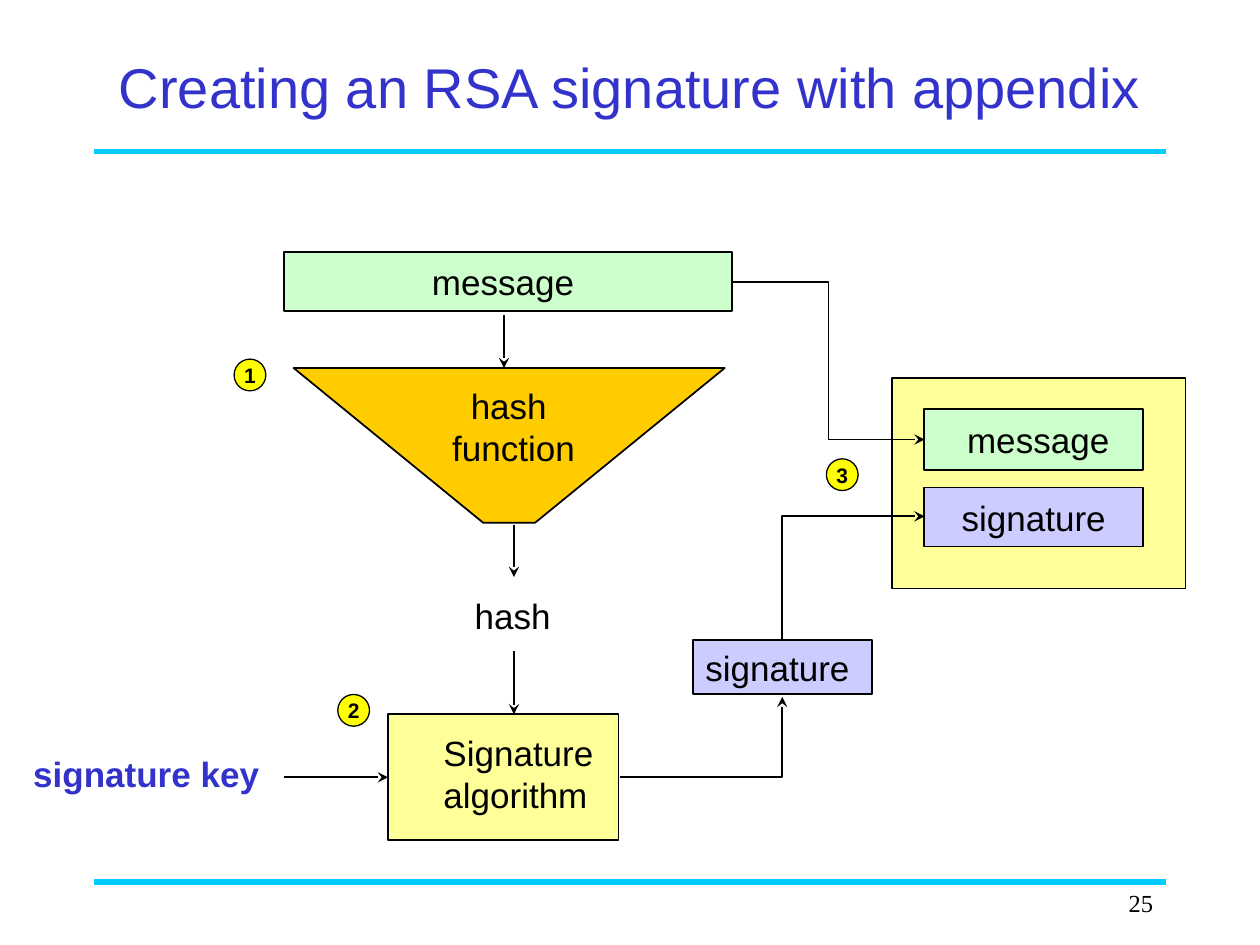
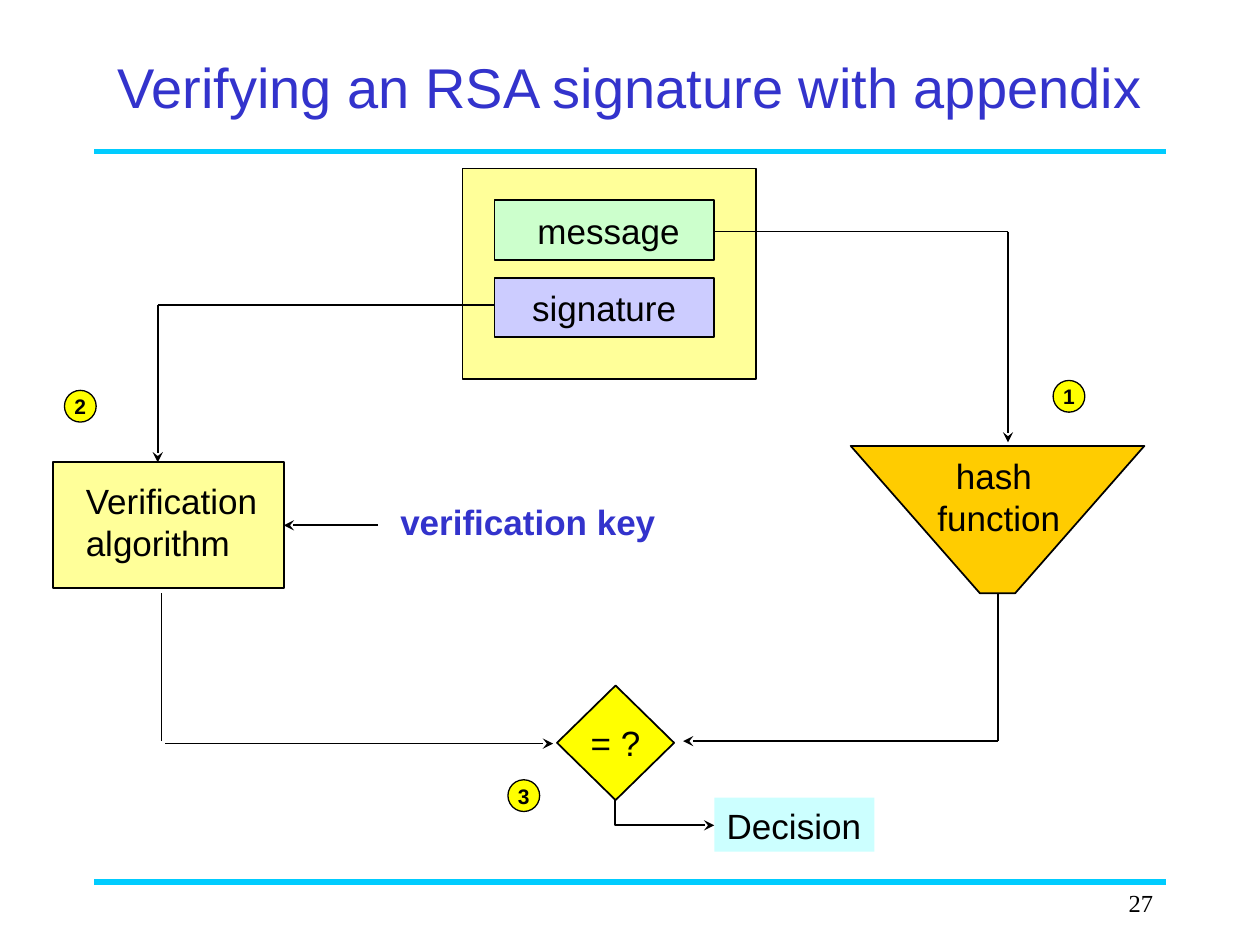
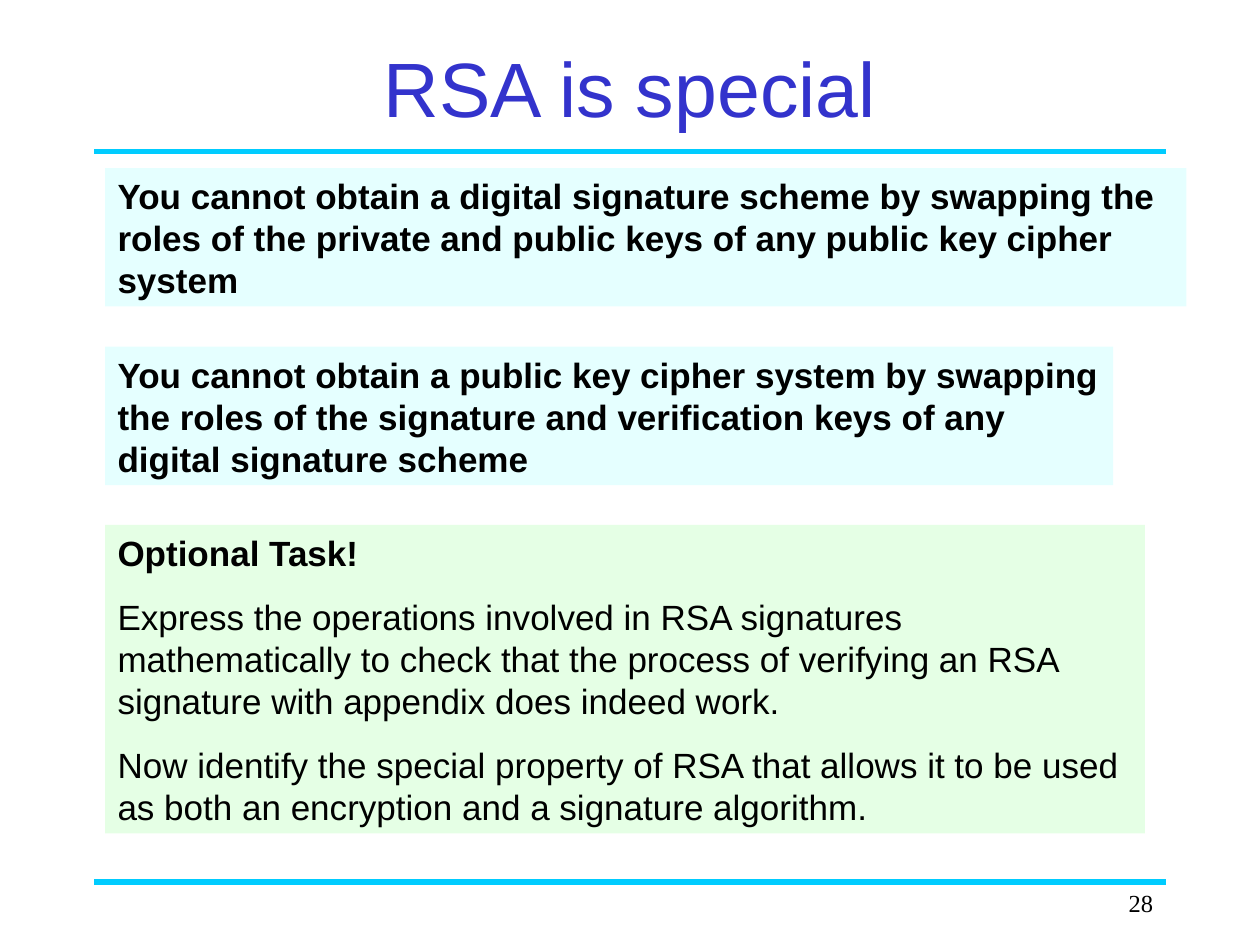
from lxml import etree
from pptx import Presentation
from pptx import util as u
from pptx.dml.color import RGBColor
from pptx.enum import shapes, text
from pptx.oxml import ns

COLOURS = {
    "ink": "000000", "heading": "3333CC", "rule": "00CCFF", "hash": "FFCC00",
    "message": "CCFFCC", "signature": "CCCCFF", "process": "FFFF99",
    "marker": "FFFF00", "result": "CCFFFF",
}
FORMATS = {
    "title": {"name": "Arial", "size": u.Pt(32), "bold": False},
    "big title": {"name": "Arial", "size": u.Pt(44), "bold": False},
    "body": {"name": "Arial", "size": u.Pt(20), "bold": False},
    "strong": {"name": "Arial", "size": u.Pt(20), "bold": True},
    "marker": {"name": "Arial", "size": u.Pt(12), "bold": True},
    "page": {"name": "Times New Roman", "size": u.Pt(14), "bold": False},
}
LEFT, CENTER, RIGHT = (text.PP_ALIGN.LEFT, text.PP_ALIGN.CENTER, text.PP_ALIGN.RIGHT)
TOP, MIDDLE = text.MSO_ANCHOR.TOP, text.MSO_ANCHOR.MIDDLE
PRESET = shapes.MSO_SHAPE
INSETS = (0.25, 0.13, 0.25, 0.13)
MARGIN, RIGHT_EDGE = 1.9, 23.5
ALGORITHM_SIZE = (4.65, 2.54)


def colour(name):
    return RGBColor.from_string(COLOURS[name])


def lengths(values):
    return [u.Cm(value) for value in values]


class Deck:
    """Holds the shared style and the current slide; all lengths are in cm."""

    def __init__(self):
        self.presentation = Presentation()
        self.presentation.slide_width = u.Cm(25.4)
        self.presentation.slide_height = u.Cm(19.05)
        self.slide = None

    def new_slide(self, title, number, style="title"):
        layout = self.presentation.slide_layouts[5]
        self.slide = self.presentation.slides.add_slide(layout)
        for y in (17.78, 3.05):
            self.line((MARGIN, y), (RIGHT_EDGE, y), 3, "rule")
        self.label((18.21, 17.78, 5.29, 1.27), [number], "page", align=RIGHT)
        heading = self.slide.shapes.title
        place = dict(zip(("left", "top", "width", "height"),
                         lengths((MARGIN, 0.15, 21.6, 3.18))))
        for name, value in place.items():
            setattr(heading, name, value)
        self.set_text(heading, [title], style, "heading", CENTER, MIDDLE)

    def set_text(self, shape, lines, style="body", ink="ink", align=LEFT,
                 anchor=TOP, insets=INSETS, wrap=True, gap=0):
        frame = shape.text_frame
        settings = {"word_wrap": wrap, "vertical_anchor": anchor,
                    "auto_size": text.MSO_AUTO_SIZE.NONE}
        sides = ("margin_left", "margin_top", "margin_right", "margin_bottom")
        settings.update(zip(sides, lengths(insets)))
        for name, value in settings.items():
            setattr(frame, name, value)
        for index, line in enumerate(lines):
            paragraph = frame.add_paragraph() if index else frame.paragraphs[0]
            paragraph.alignment = align
            paragraph.space_before = u.Pt(gap if index else 0)
            run = paragraph.add_run()
            run.text = line
            for name, value in FORMATS[style].items():
                setattr(run.font, name, value)
            run.font.color.rgb = colour(ink)

    def paint(self, shape, fill, width):
        shape.shadow.inherit = False
        shape.fill.solid()
        shape.fill.fore_color.rgb = colour(fill)
        if width:
            shape.line.color.rgb = colour("ink")
            shape.line.width = u.Pt(width)
        else:
            shape.line.fill.background()

    def label(self, place, lines, style="body", **options):
        box = self.slide.shapes.add_textbox(*lengths(place))
        self.set_text(box, lines, style, **options)

    def box(self, place, fill, lines=(), preset=PRESET.RECTANGLE, width=1, **options):
        shape = self.slide.shapes.add_shape(preset, *lengths(place))
        self.paint(shape, fill, width)
        self.set_text(shape, lines, **options)
        return shape

    def panel(self, place, fill, lines, style="strong"):
        """Half-transparent text panel."""
        shape = self.box(place, fill, lines, width=0, style=style, gap=12.5)
        tint = shape.element.spPr.find(ns.qn("a:solidFill") + "/" + ns.qn("a:srgbClr"))
        etree.SubElement(tint, ns.qn("a:alpha"), val="50000")
        return shape

    def marker(self, x, y, number):
        self.box((x, y, 0.64, 0.64), "marker", [number], PRESET.FLOWCHART_CONNECTOR,
                 0.75, style="marker", align=CENTER, anchor=MIDDLE,
                 insets=(0, 0, 0, 0), wrap=False)

    def funnel(self, x, y, width, height, insets):
        corners = [(x + width * 0.44, y + height), (x + width * 0.56, y + height),
                   (x + width, y)]
        builder = self.slide.shapes.build_freeform(u.Cm(x), u.Cm(y))
        builder.add_line_segments([lengths(corner) for corner in corners], close=True)
        shape = builder.convert_to_shape()
        self.paint(shape, "hash", 1)
        self.set_text(shape, ["hash ", "function"], align=CENTER, insets=insets)

    def algorithm(self, x, y, name, indent):
        self.box((x, y, *ALGORITHM_SIZE), "process", [name, "algorithm"],
                 insets=(indent, 0.35, 0, 0))

    def signed_message(self, x, y):
        """Message and signature packed together."""
        self.box((x, y, 5.92, 4.24), "process", width=0.75)
        self.box((x + 0.65, y + 0.63, 4.42, 1.22), "message", ["message"],
                 align=CENTER, anchor=MIDDLE, insets=(0.18, 0, 0, 0))
        self.box((x + 0.65, y + 2.21, 4.42, 1.19), "signature", ["signature"],
                 align=CENTER, anchor=MIDDLE)

    def line(self, start, end, width=1, ink="ink", arrow=None, bends=0):
        """arrow is headEnd (at start) or tailEnd (at end)."""
        kind = shapes.MSO_CONNECTOR.ELBOW if bends else shapes.MSO_CONNECTOR.STRAIGHT
        line = self.slide.shapes.add_connector(kind, *lengths(start + end))
        line.line.color.rgb = colour(ink)
        line.line.width = u.Pt(width)
        properties = line.element.spPr
        if bends == 1:
            properties.find(ns.qn("a:prstGeom")).set("prst", "bentConnector2")
        if arrow:
            etree.SubElement(properties.find(ns.qn("a:ln")), ns.qn("a:" + arrow),
                             type="stealth")
        etree.SubElement(properties, ns.qn("a:effectLst"))

    def arrow(self, start, end, width=1, bends=0, at="tailEnd"):
        self.line(start, end, width, arrow=at, bends=bends)


def creating(deck):
    deck.new_slide("Creating an RSA signature with appendix", "25")
    # Message to hash
    deck.funnel(5.92, 7.42, 8.69, 3.12, (0.18, 0.33, 0, 0))
    deck.box((5.72, 5.08, 9.04, 1.19), "message", ["message "],
             align=CENTER, anchor=MIDDLE, wrap=False)
    deck.arrow((10.16, 6.35), (10.16, 7.42))
    deck.arrow((10.36, 10.59), (10.36, 11.63))
    deck.label((9.32, 11.86, 2.34, 1.12), ["hash"])
    # Hash and key to signature
    deck.algorithm(7.82, 14.4, "Signature", 1.12)
    deck.box((13.97, 12.9, 3.61, 1.09), "signature", ["signature"], width=0.75)
    deck.label((0.41, 15.04, 5.08, 1.09), ["signature key"], "strong",
               ink="heading", align=CENTER, wrap=False)
    deck.arrow((5.72, 15.67), (7.82, 15.67))
    deck.arrow((10.36, 13.13), (10.36, 14.4), 0.75)
    # Packing
    deck.signed_message(17.98, 7.62)
    deck.arrow((12.5, 15.67), (15.77, 14.05), bends=1)
    deck.arrow((18.64, 10.41), (15.77, 12.9), bends=1, at="headEnd")
    deck.arrow((14.76, 5.69), (18.64, 8.86), bends=2)
    for x, y, number in ((4.72, 7.24, "1"), (6.81, 14, "2"), (16.66, 9.25, "3")):
        deck.marker(x, y, number)


def verifying(deck):
    deck.new_slide("Verifying an RSA signature with appendix", "27")
    deck.signed_message(9.32, 3.4)
    # Signature branch
    deck.algorithm(1.07, 9.32, "Verification", 0.66)
    deck.line((3.18, 6.15), (9.96, 6.15), 0.75)
    deck.arrow((3.18, 6.15), (3.18, 9.32))
    deck.arrow((7.62, 10.59), (5.72, 10.59))
    deck.label((7.82, 9.96, 6.15, 1.12), ["verification key"], "strong", ink="heading")
    # Message branch
    deck.funnel(17.15, 8.99, 5.92, 2.97, (0.05, 0.18, 0, 0))
    deck.line((20.32, 4.67), (14.4, 4.67), 0.75)
    deck.arrow((20.32, 4.67), (20.32, 8.92))
    # Comparison and decision
    deck.box((11.23, 13.82, 2.36, 2.31), "marker", ["= ?"], PRESET.DIAMOND,
             align=CENTER, anchor=MIDDLE, insets=(0, 0, 0, 0), wrap=False)
    for x in (3.25, 20.12):
        deck.line((x, 14.94), (x, 11.96), 0.75)
    deck.arrow((3.33, 14.99), (11.15, 14.99))
    deck.arrow((20.12, 14.94), (13.77, 14.94))
    deck.box((14.4, 16.08, 3.23, 1.09), "result", ["Decision"], width=0, wrap=False)
    deck.arrow((14.4, 16.64), (12.4, 16.13), bends=1, at="headEnd")
    for x, y, number in ((21.23, 7.67, "1"), (1.3, 7.87, "2"), (10.24, 15.72, "3")):
        deck.marker(x, y, number)


def special(deck):
    deck.new_slide("RSA is special", "28", "big title")
    deck.panel((2.12, 3.39, 21.8, 2.79), "result", [
        "You cannot obtain a digital signature scheme by swapping the roles of the "
        "private and public keys of any public key cipher system"])
    deck.panel((2.12, 6.99, 20.32, 2.79), "result", [
        "You cannot obtain a public key cipher system by swapping the roles of the "
        "signature and verification keys of any digital signature scheme"])
    task = deck.panel((2.12, 10.58, 20.96, 6.22), "message", [
        "Optional Task!",
        "Express the operations involved in RSA signatures mathematically to check "
        "that the process of verifying an RSA signature with appendix does indeed work.",
        "Now identify the special property of RSA that allows it to be used as both "
        "an encryption and a signature algorithm."], "body")
    task.text_frame.paragraphs[0].runs[0].font.bold = True


def main():
    deck = Deck()
    for build in (creating, verifying, special):
        build(deck)
    deck.presentation.save("out.pptx")


if __name__ == "__main__":
    main()
